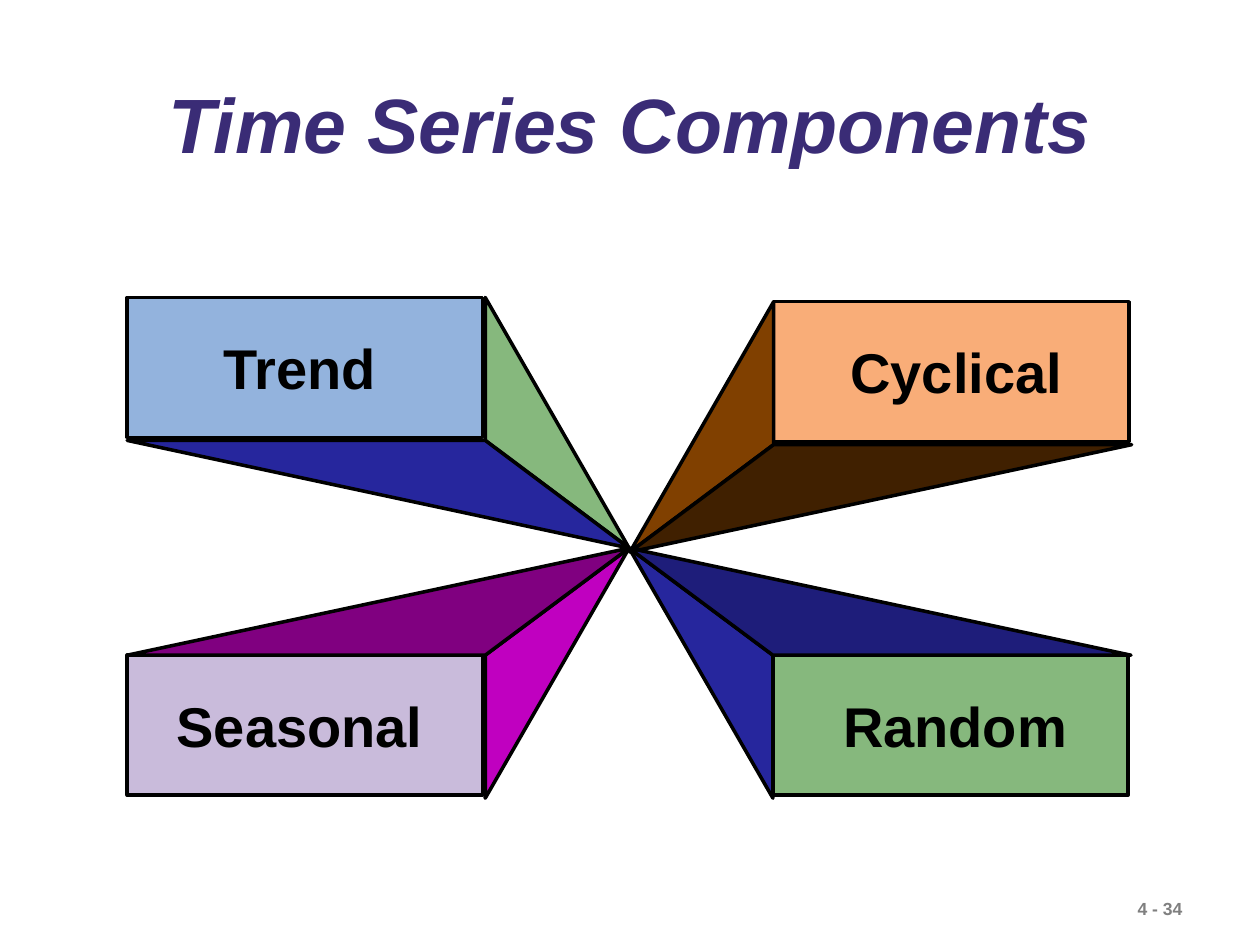
import pptx
import pptx.util
import pptx.dml.color
import pptx.enum.shapes
import pptx.enum.text

Pt = pptx.util.Pt
RGBColor = pptx.dml.color.RGBColor
Align = pptx.enum.text.PP_ALIGN
Anchor = pptx.enum.text.MSO_ANCHOR

BLACK = RGBColor(0x00, 0x00, 0x00)
GRAY = RGBColor(0x7F, 0x7F, 0x7F)
INDIGO = RGBColor(0x3A, 0x2C, 0x76)
SKY = RGBColor(0x93, 0xB3, 0xDD)
GREEN = RGBColor(0x86, 0xB8, 0x7D)
BLUE = RGBColor(0x26, 0x26, 0x9D)
NAVY = RGBColor(0x1E, 0x1D, 0x7A)
LILAC = RGBColor(0xC9, 0xBB, 0xDB)
PURPLE = RGBColor(0x80, 0x00, 0x80)
MAGENTA = RGBColor(0xC0, 0x00, 0xC0)
PEACH = RGBColor(0xF9, 0xAD, 0x78)
BROWN = RGBColor(0x80, 0x40, 0x00)
DARK_BROWN = RGBColor(0x40, 0x20, 0x00)

TITLE = "Time Series Components"
PAGE_NUMBER = "4 - 34"

# label, left, top, vanishing point, label center, label width, front, side, base
COMPONENTS = [
    ("Trend", 72.7, 170, (359.5, 313.2), 171.3, 114, SKY, GREEN, BLUE),
    ("Seasonal", 72.7, 374.4, (359.5, 313.2), 171.3, 162, LILAC, MAGENTA, PURPLE),
    ("Cyclical", 442.1, 172.4, (360, 315.4), 546.5, 144, PEACH, BROWN, DARK_BROWN),
    ("Random", 441.7, 374.4, (359.5, 313.2), 545.8, 155.5, GREEN, BLUE, NAVY),
]
PANEL_WIDTH, PANEL_HEIGHT = 204.6, 81.7
FRONT_WIDTH, FRONT_HEIGHT = 203, 80
LABEL_DROP, LABEL_HEIGHT = 17.2, 45.4

deck = pptx.Presentation()
deck.slide_width, deck.slide_height = Pt(720), Pt(540)
page = deck.slides.add_slide(deck.slide_layouts[6])


def paint(shape, color):
    shape.shadow.inherit = False
    shape.fill.solid()
    shape.fill.fore_color.rgb = color
    shape.line.color.rgb = BLACK
    shape.line.width = Pt(2)


def add_triangle(corners, color):
    points = [(Pt(x), Pt(y)) for x, y in corners]
    builder = page.shapes.build_freeform(*points[0])
    builder.add_line_segments(points[1:], close=True)
    paint(builder.convert_to_shape(), color)


def add_text(text, left, top, width, height, size, color, align=Align.CENTER,
             italic=False, wrap=True, anchor=Anchor.TOP, spacing=1.0):
    box = page.shapes.add_textbox(Pt(left), Pt(top), Pt(width), Pt(height))
    frame = box.text_frame
    frame.word_wrap = wrap
    frame.vertical_anchor = anchor
    para = frame.paragraphs[0]
    para.alignment = align
    para.line_spacing = spacing
    span = para.add_run()
    span.text = text
    span.font.name = "Arial"
    span.font.size = Pt(size)
    span.font.bold = True
    span.font.italic = italic
    span.font.color.rgb = color


add_text(PAGE_NUMBER, 643, 509.8, 77, 19.4, 10, GRAY, Align.LEFT, wrap=False)

for label, left, top, apex, center, width, front, side, base in COMPONENTS:
    right, bottom = left + PANEL_WIDTH, top + PANEL_HEIGHT
    inner, outer = (right, left) if left < apex[0] else (left, right)
    near, far = (bottom, top) if top < apex[1] else (top, bottom)
    panel = page.shapes.add_shape(
        pptx.enum.shapes.MSO_SHAPE.RECTANGLE,
        Pt(left), Pt(top), Pt(FRONT_WIDTH), Pt(FRONT_HEIGHT))
    paint(panel, front)
    add_triangle([(inner, far), apex, (inner, near)], side)
    add_triangle([(outer, near), (inner, near), apex], base)
    add_text(label, center - width / 2, top + LABEL_DROP, width, LABEL_HEIGHT, 32, BLACK)

add_text(TITLE, 54, 34.6, 612, 77.8, 44, INDIGO, italic=True,
         anchor=Anchor.MIDDLE, spacing=0.9)

deck.save("out.pptx")
